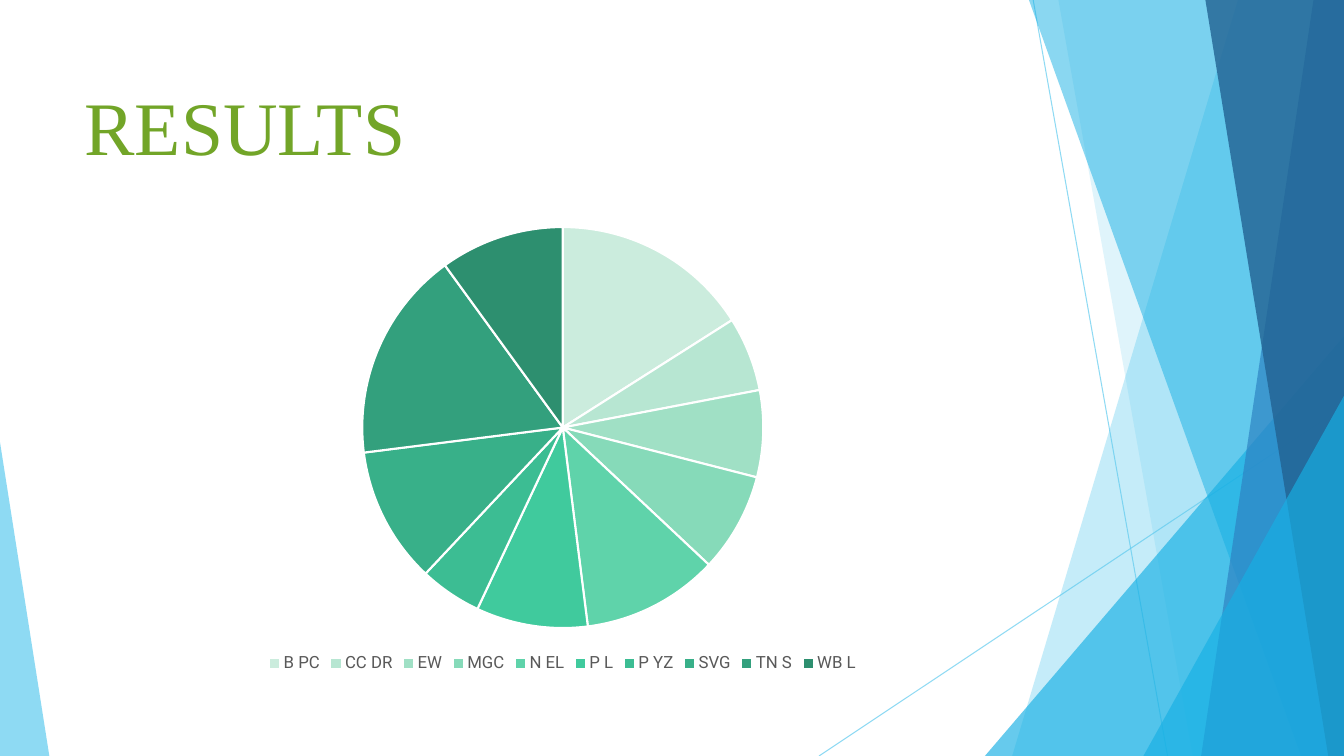
from dataclasses import dataclass

import pptx
import pptx.chart.data
import pptx.dml.color
import pptx.enum.chart
import pptx.enum.shapes
import pptx.enum.text
import pptx.oxml.ns
import pptx.util
from lxml import etree

PX = 9525  # EMU per px, 96 px to the inch
WIDTH, HEIGHT = 1280, 720


@dataclass(frozen=True)
class Theme:
    sky: str = "5FCBEF"
    cyan: str = "17B0E4"
    blue: str = "2E83C3"
    navy: str = "226292"
    title: str = "72A528"
    legend: str = "595959"
    chart_text: str = "000000"
    white: str = "FFFFFF"
    title_font: str = "Times New Roman"
    chart_font: str = "Roboto"
    title_size: int = 54
    legend_size: int = 12
    chart_size: int = 10
    ray_width: float = 0.75
    slice_gap: float = 1.5


THEME = Theme()


@dataclass(frozen=True)
class Ray:
    start: tuple[int, int]
    end: tuple[int, int]


@dataclass(frozen=True)
class Band:
    """Strip from the top edge to the bottom edge, ending at the right side."""
    top_x: int
    bottom_x: int
    colour: str
    opacity: int


@dataclass(frozen=True)
class Wedge:
    """Right triangle standing on the bottom edge, apex at 0 (left) or 1 (right)."""
    left: int
    top: int
    width: int
    apex: int
    colour: str
    opacity: int


@dataclass(frozen=True)
class Slice:
    label: str
    value: int
    colour: str


RAYS = [Ray((984, 0), (1112, HEIGHT)), Ray((WIDTH, 387), (780, HEIGHT))]

FACETS = [
    Band(1179, 964, THEME.sky, 36),
    Band(1008, 1136, THEME.sky, 20),
    Wedge(938, 320, 342, 1, THEME.cyan, 66),
    Band(980, 1239, THEME.cyan, 50),
    Band(1251, 1144, THEME.blue, 70),
    Band(1148, 1265, THEME.navy, 80),
    Wedge(1089, 377, 191, 1, THEME.cyan, 66),
    Wedge(0, 421, 47, 0, THEME.sky, 70),
]

SLICES = [
    Slice("B PC", 16, "CBECDD"),
    Slice("CC DR", 6, "B7E6D2"),
    Slice("EW", 7, "A0E0C5"),
    Slice("MGC", 8, "86DAB9"),
    Slice("N EL", 11, "5FD3AA"),
    Slice("P L", 9, "40CA9D"),
    Slice("P YZ", 5, "3CBD93"),
    Slice("SVG", 11, "38B089"),
    Slice("TN S", 17, "33A07D"),
    Slice("WB L", 10, "2D8F6F"),
]


def px(length: int) -> pptx.util.Emu:
    return pptx.util.Emu(length * PX)


def rgb(colour: str) -> pptx.dml.color.RGBColor:
    return pptx.dml.color.RGBColor.from_string(colour)


def set_opacity(fill, percent: int) -> None:
    colour = fill._xPr.find(".//" + pptx.oxml.ns.qn("a:srgbClr"))
    etree.SubElement(colour, pptx.oxml.ns.qn("a:alpha"), val=str(percent * 1000))


def style_font(font, *, name: str, size: int, colour: str) -> None:
    font.name = name
    font.size = pptx.util.Pt(size)
    font.color.rgb = rgb(colour)


def write_text(frame, text: str, *, name: str, size: int, colour: str,
               align=pptx.enum.text.PP_ALIGN.LEFT,
               anchor=pptx.enum.text.MSO_ANCHOR.TOP, margin_top: int = 5) -> None:
    frame.word_wrap = True
    frame.vertical_anchor = anchor
    frame.margin_top = px(margin_top)
    paragraph = frame.paragraphs[0]
    paragraph.alignment = align
    run = paragraph.add_run()
    run.text = text
    style_font(run.font, name=name, size=size, colour=colour)


def draw_ray(slide, ray: Ray) -> None:
    line = slide.shapes.add_connector(
        pptx.enum.shapes.MSO_CONNECTOR.STRAIGHT, *map(px, ray.start + ray.end))
    line.line.width = pptx.util.Pt(THEME.ray_width)
    line.line.color.rgb = rgb(THEME.sky)
    set_opacity(line.line.fill, 70)
    etree.SubElement(line._element.spPr, pptx.oxml.ns.qn("a:effectLst"))


def draw_facet(slide, facet: Band | Wedge) -> None:
    if isinstance(facet, Band):
        outline = slide.shapes.build_freeform(facet.top_x, 0, scale=PX)
        outline.add_line_segments(
            [(WIDTH, 0), (WIDTH, HEIGHT), (facet.bottom_x, HEIGHT)], close=True)
        shape = outline.convert_to_shape()
    else:
        shape = slide.shapes.add_shape(
            pptx.enum.shapes.MSO_SHAPE.ISOSCELES_TRIANGLE,
            px(facet.left), px(facet.top), px(facet.width), px(HEIGHT - facet.top))
        shape.adjustments[0] = facet.apex
    shape.shadow.inherit = False
    shape.line.fill.background()
    shape.fill.solid()
    shape.fill.fore_color.rgb = rgb(facet.colour)
    set_opacity(shape.fill, facet.opacity)


def draw_results(slide, slices: list[Slice]) -> None:
    results = pptx.chart.data.CategoryChartData()
    results.categories = [part.label for part in slices]
    results.add_series("Series 1", [part.value for part in slices])
    pie = slide.shapes.add_chart(
        pptx.enum.chart.XL_CHART_TYPE.PIE,
        px(85), px(203), px(902), px(442), results).chart
    pie.has_title = False
    style_font(pie.font, name=THEME.chart_font, size=THEME.chart_size,
               colour=THEME.chart_text)
    pie.has_legend = True
    pie.legend.position = pptx.enum.chart.XL_LEGEND_POSITION.BOTTOM
    pie.legend.include_in_layout = False
    style_font(pie.legend.font, name=THEME.chart_font, size=THEME.legend_size,
               colour=THEME.legend)
    pie.plots[0].vary_by_categories = True
    for index, part in enumerate(slices):
        wedge = pie.plots[0].series[0].points[index].format
        wedge.fill.solid()
        wedge.fill.fore_color.rgb = rgb(part.colour)
        wedge.line.color.rgb = rgb(THEME.white)
        wedge.line.width = pptx.util.Pt(THEME.slice_gap)


def main() -> None:
    deck = pptx.Presentation()
    deck.slide_width, deck.slide_height = px(WIDTH), px(HEIGHT)
    slide = deck.slides.add_slide(deck.slide_layouts.get_by_name("Title Only"))

    for ray in RAYS:
        draw_ray(slide, ray)
    for facet in FACETS:
        draw_facet(slide, facet)

    heading = slide.shapes.title
    heading.left, heading.top, heading.width, heading.height = map(px, (71, 64, 902, 138))
    write_text(heading.text_frame, "RESULTS", name=THEME.title_font,
               size=THEME.title_size, colour=THEME.title, margin_top=12)

    draw_results(slide, SLICES)
    deck.save("out.pptx")


if __name__ == "__main__":
    main()
